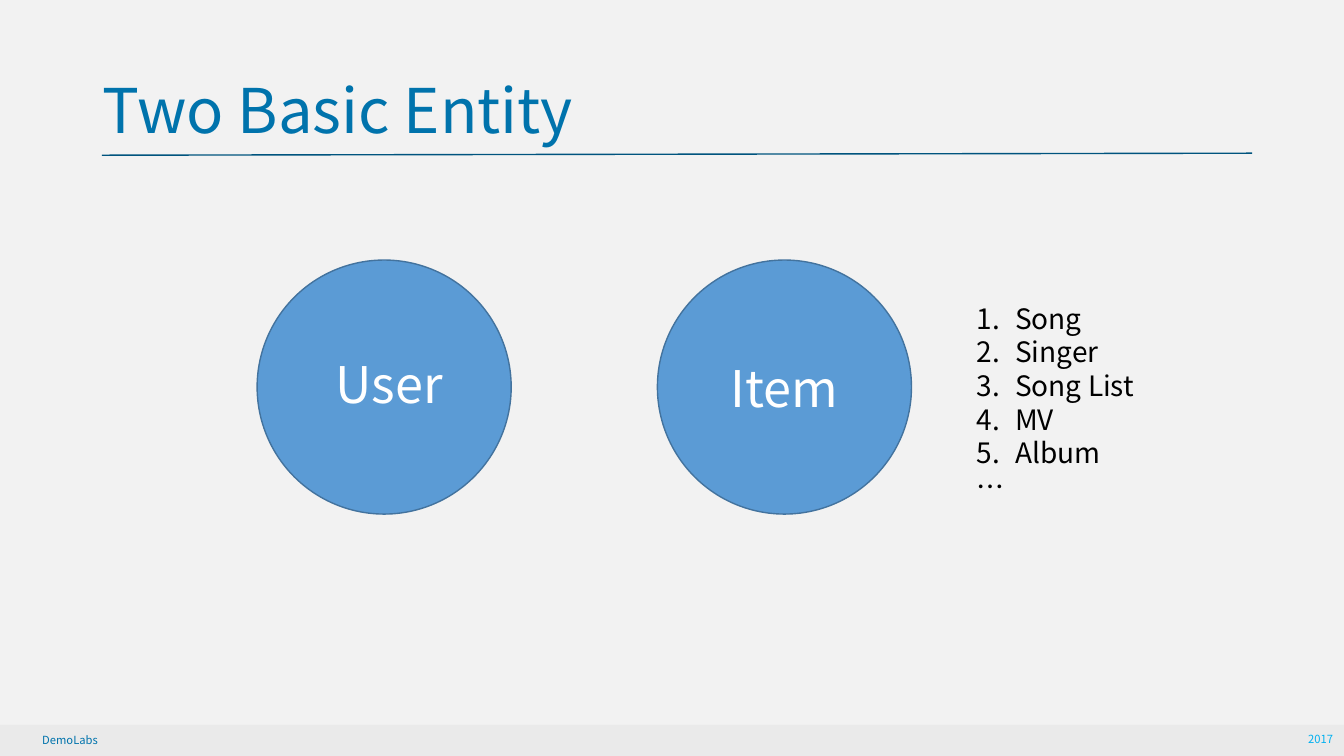
from pptx import Presentation
from pptx import util as u
from pptx.dml.color import RGBColor
from pptx.enum import shapes, text
from pptx.oxml.ns import qn
from lxml import etree

BACKGROUND = RGBColor(0xF2, 0xF2, 0xF2)
FOOTER_GRAY = RGBColor(0xEA, 0xEA, 0xEA)
TITLE_BLUE = RGBColor(0x00, 0x73, 0xAC)
RULE_BLUE = RGBColor(0x00, 0x54, 0x7E)
YEAR_BLUE = RGBColor(0x00, 0xB0, 0xF0)
ENTITY_BLUE = RGBColor(0x5B, 0x9B, 0xD5)
ENTITY_EDGE = RGBColor(0x43, 0x73, 0x9E)
WHITE = RGBColor(0xFF, 0xFF, 0xFF)
BLACK = RGBColor(0, 0, 0)


class SlideBuilder:
    font = "Noto Sans CJK SC"

    def __init__(self, slide):
        self.slide = slide
        slide.background.fill.solid()
        slide.background.fill.fore_color.rgb = BACKGROUND

    def rule(self, start, end, color):
        line = self.slide.shapes.add_connector(
            shapes.MSO_CONNECTOR.STRAIGHT,
            *(u.Inches(value) for value in start + end))
        line.line.color.rgb = color
        line.line.width = u.Pt(1)
        etree.SubElement(line._element.spPr, qn("a:effectLst"))

    def shape(self, kind, box, fill, edge=None):
        shape = self.slide.shapes.add_shape(kind, *(u.Inches(value) for value in box))
        shape.shadow.inherit = False
        shape.fill.solid()
        shape.fill.fore_color.rgb = fill
        if edge is None:
            shape.line.fill.background()
        else:
            shape.line.color.rgb = edge
            shape.line.width = u.Pt(1)
        return shape

    def run(self, paragraph, words, size, color):
        run = paragraph.add_run()
        run.text = words
        run.font.size = u.Pt(size)
        run.font.name = self.font
        run.font.color.rgb = color
        etree.SubElement(run.font._element, qn("a:ea"), typeface=self.font)

    def label(self, shape, words, size, color, align=text.PP_ALIGN.LEFT,
              anchor=text.MSO_ANCHOR.TOP, spacing=None):
        frame = shape.text_frame
        frame.word_wrap = True
        frame.vertical_anchor = anchor
        paragraph = frame.paragraphs[0]
        paragraph.alignment = align
        paragraph.line_spacing = spacing
        self.run(paragraph, words, size, color)

    def text_box(self, box):
        return self.slide.shapes.add_textbox(*(u.Inches(value) for value in box))

    def numbered_list(self, box, items, ending, size, color):
        frame = self.text_box(box).text_frame
        frame.word_wrap = True
        frame.margin_top = u.Inches(0.26)
        for index, item in enumerate(items + [ending]):
            paragraph = frame.paragraphs[0] if index == 0 else frame.add_paragraph()
            paragraph.line_spacing = u.Pt(24)
            self.run(paragraph, item, size, color)
            if index < len(items):
                properties = paragraph._p.get_or_add_pPr()
                properties.set("marL", str(u.Inches(0.38)))
                properties.set("indent", str(u.Inches(-0.38)))
                etree.SubElement(properties, qn("a:buFont"), typeface=self.font)
                etree.SubElement(properties, qn("a:buAutoNum"), type="arabicPeriod")


def main():
    deck = Presentation()
    deck.slide_width = u.Inches(13.33)
    deck.slide_height = u.Inches(7.5)
    builder = SlideBuilder(deck.slides.add_slide(deck.slide_layouts[6]))
    rectangle = shapes.MSO_SHAPE.RECTANGLE
    middle = text.MSO_ANCHOR.MIDDLE

    builder.rule((1.01, 1.54), (12.42, 1.52), RULE_BLUE)
    builder.shape(rectangle, (0, 7.19, 13.33, 0.31), FOOTER_GRAY)
    builder.label(builder.text_box((0.32, 7.23, 3.6, 0.24)), "DemoLabs", 8, TITLE_BLUE)
    builder.label(builder.text_box((9.72, 7.22, 3.6, 0.24)), "2017", 8, YEAR_BLUE,
                  align=text.PP_ALIGN.RIGHT)
    builder.label(builder.text_box((0.92, 0.4, 11.5, 1.45)), "Two Basic Entity", 44,
                  TITLE_BLUE, anchor=middle, spacing=0.9)

    entities = [("User", 2.55, 3.15, 3.41), ("Item", 6.52, 7.07, 3.45)]
    for name, circle_left, name_left, name_top in entities:
        builder.shape(shapes.MSO_SHAPE.OVAL, (circle_left, 2.58, 2.52, 2.52),
                      ENTITY_BLUE, ENTITY_EDGE)
        plate = builder.shape(rectangle, (name_left, name_top, 1.42, 0.79), ENTITY_BLUE)
        builder.label(plate, name, 36, WHITE, text.PP_ALIGN.CENTER, middle)

    builder.numbered_list((9.59, 2.73, 2.37, 2.49),
                          ["Song", "Singer", "Song List", "MV", "Album"], "…", 20, BLACK)
    deck.save("out.pptx")


if __name__ == "__main__":
    main()
